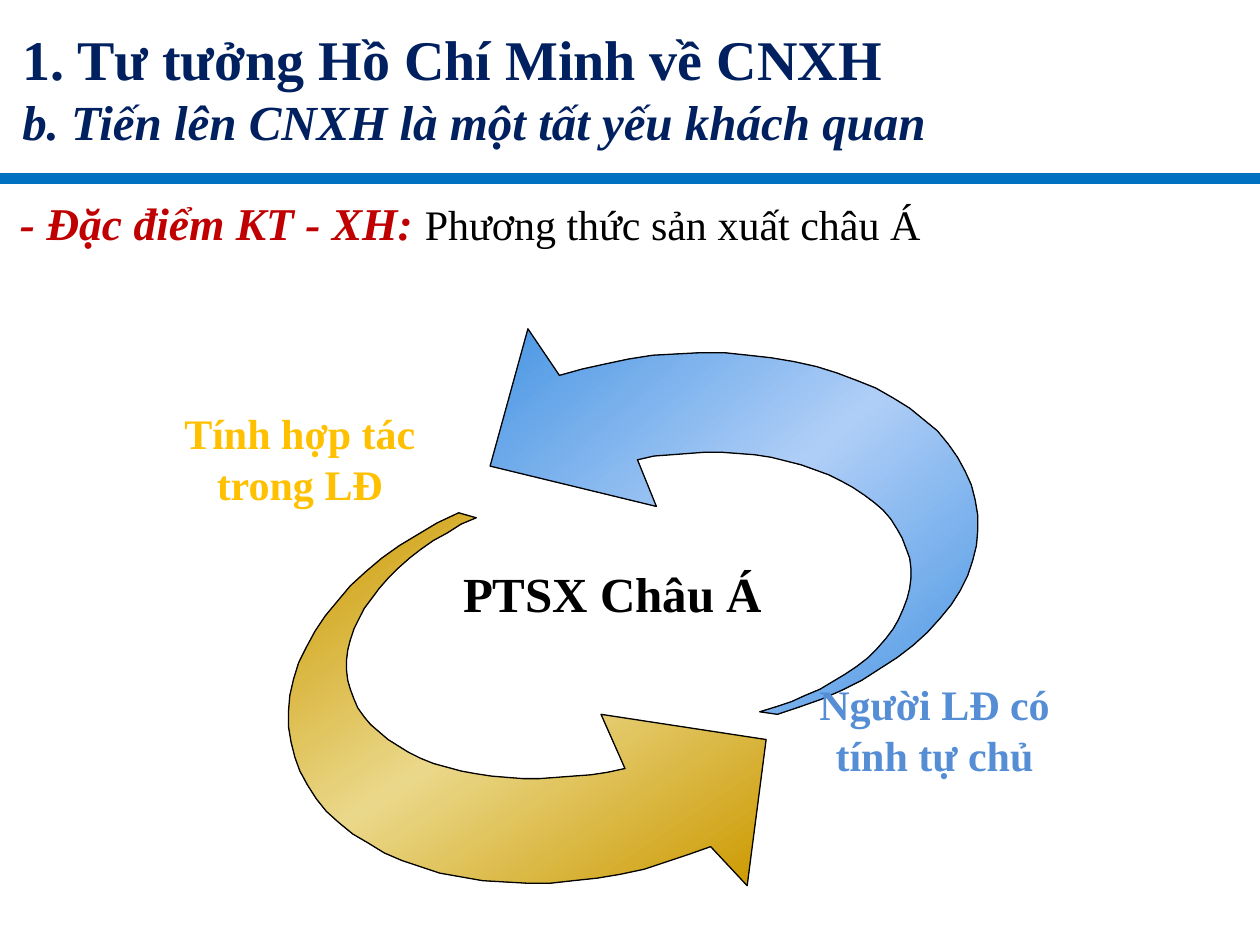
from collections import namedtuple
from copy import deepcopy
from math import cos, radians, sin

from pptx import Presentation
from pptx import util as u
from pptx.dml.color import RGBColor
from pptx.enum import shapes, text
from pptx.oxml import parse_xml
from pptx.util import Cm

FONT = "Times New Roman"
COLORS = {
    "navy": "002060", "rule": "0070C0", "red": "C00000", "black": "000000",
    "amber": "FFC000", "sky": "558ED5",
    "gold": "CC9900", "gold_light": "EAD88A",
    "blue": "4996E3", "blue_light": "AFCEF7",
}

# Arrow geometry is in hundredths of an inch from the corner of the cycle's box.
UNIT = Cm(2.54) / 100
ARC_STEPS = 40

# An ellipse (centre, half width, half height) skewed by lean, drawn from the
# start angle to the end angle; angles are in degrees, clockwise from the right.
Arc = namedtuple("Arc", "cx cy half_w half_h lean start end")

# The outer arc runs from tail to head, the inner arc back from head to tail;
# head holds the outer barb, the tip and the inner barb.
Arrow = namedtuple("Arrow", "outer head inner edge middle angle")

ARROWS = [
    Arrow(outer=Arc(369, 337, 240, 164, 11.5, 244, 66.7),
          head=[(493, 503), (508, 387), (377, 367)],
          inner=Arc(373, 298, 198, 120, 14.5, 83.3, 241.3),
          edge="gold", middle="gold_light", angle=56),
    Arrow(outer=Arc(438.6, 230, 237.9, 150, 5.2, 70.8, -113.4),
          head=[(319, 61), (289, 170), (421, 202)],
          inner=Arc(446.3, 266.8, 176.7, 107.8, 5.7, -103.2, 71.3),
          edge="blue", middle="blue_light", angle=49),
]


def rgb(name):
    return RGBColor.from_string(COLORS[name])


def add_run(p, content, size, color, bold=True, italic=False):
    r = p.add_run()
    r.text = content
    r.font.name, r.font.size = FONT, u.Pt(size)
    r.font.bold, r.font.italic = bold, italic
    r.font.color.rgb = rgb(color)


def add_text(s, box, paragraphs, align=text.PP_ALIGN.LEFT):
    """Each paragraph is a list of (text, format) runs."""
    tf = s.shapes.add_textbox(*box).text_frame
    tf.word_wrap = True
    for i, runs in enumerate(paragraphs):
        p = tf.paragraphs[0] if i == 0 else tf.add_paragraph()
        p.alignment = align
        for content, style in runs:
            add_run(p, content, **style)


def arc_points(arc):
    points = []
    for step in range(ARC_STEPS + 1):
        angle = arc.start + (arc.end - arc.start) * step / ARC_STEPS
        points.append((arc.cx + arc.half_w * cos(radians(angle)),
                       arc.cy + arc.half_h * sin(radians(angle - arc.lean))))
    return points


def fill_gradient(sp, edge, middle, angle):
    """Lightest halfway, with the angle clockwise."""
    sp.fill.gradient()
    sp.fill.gradient_angle = 360 - angle
    stop_list = sp.fill._fill._gradFill.gsLst
    stop_list.insert(1, deepcopy(stop_list[0]))
    for stop, position, color in zip(sp.fill.gradient_stops, (0, 0.5, 1),
                                     (edge, middle, edge)):
        stop.position = position
        stop.color.rgb = rgb(color)


def add_arrow(s, left, top, arrow):
    outline = arc_points(arrow.outer) + arrow.head + arc_points(arrow.inner)
    builder = s.shapes.build_freeform(*outline[0], scale=UNIT)
    builder.add_line_segments(outline[1:], close=True)
    sp = builder.convert_to_shape(left, top)
    sp.shadow.inherit = False
    sp.line.color.rgb = rgb("black")
    sp.line.width = u.Pt(0.75)
    fill_gradient(sp, arrow.edge, arrow.middle, arrow.angle)


def add_header(s, left, top, width, height):
    add_text(s, (left + Cm(0.2), top + Cm(0.36), width - Cm(0.63), Cm(2.79)), [
        [("1. Tư tưởng Hồ Chí Minh về CNXH", dict(size=32, color="navy"))],
        [("b. Tiến lên CNXH là một tất yếu khách quan",
          dict(size=28, color="navy", italic=True))],
    ], text.PP_ALIGN.JUSTIFY)
    rule = s.shapes.add_connector(shapes.MSO_CONNECTOR.STRAIGHT,
                                  left, top + height, left + width, top + height)
    rule.line.color.rgb = rgb("rule")
    rule.line.width = u.Pt(6)
    rule._element.spPr.append(parse_xml(
        '<a:effectLst xmlns:a="http://schemas.openxmlformats.org/drawingml/2006/main"/>'))


def add_lead(s, *box):
    add_text(s, box, [[
        ("- Đặc điểm KT - XH: ", dict(size=26, color="red", italic=True)),
        ("Phương thức sản xuất châu Á", dict(size=24, color="black", bold=False)),
    ]])


def add_cycle(s, left, top):
    for arrow in ARROWS:
        add_arrow(s, left, top, arrow)
    labels = [
        (0.43, 3.02, 6.15, 2.29, "Tính hợp tác trong LĐ", 24, "amber"),
        (13.34, 8.48, 5.92, 2.29, "Người LĐ có tính tự chủ", 24, "sky"),
        (6.15, 6.15, 7.32, 1.45, "PTSX Châu Á", 28, "black"),
    ]
    for x, y, w, h, content, size, color in labels:
        add_text(s, (left + Cm(x), top + Cm(y), Cm(w), Cm(h)),
                 [[(content, dict(size=size, color=color))]], text.PP_ALIGN.CENTER)


def main():
    prs = Presentation()
    prs.slide_width, prs.slide_height = Cm(25.4), Cm(19.05)
    s = prs.slides.add_slide(prs.slide_layouts[6])
    add_header(s, 0, 0, prs.slide_width, Cm(3.6))
    add_lead(s, Cm(0.15), Cm(3.81), Cm(19.25), Cm(1.37))
    add_cycle(s, Cm(2.54), Cm(5.08))
    prs.save("out.pptx")


if __name__ == "__main__":
    main()
